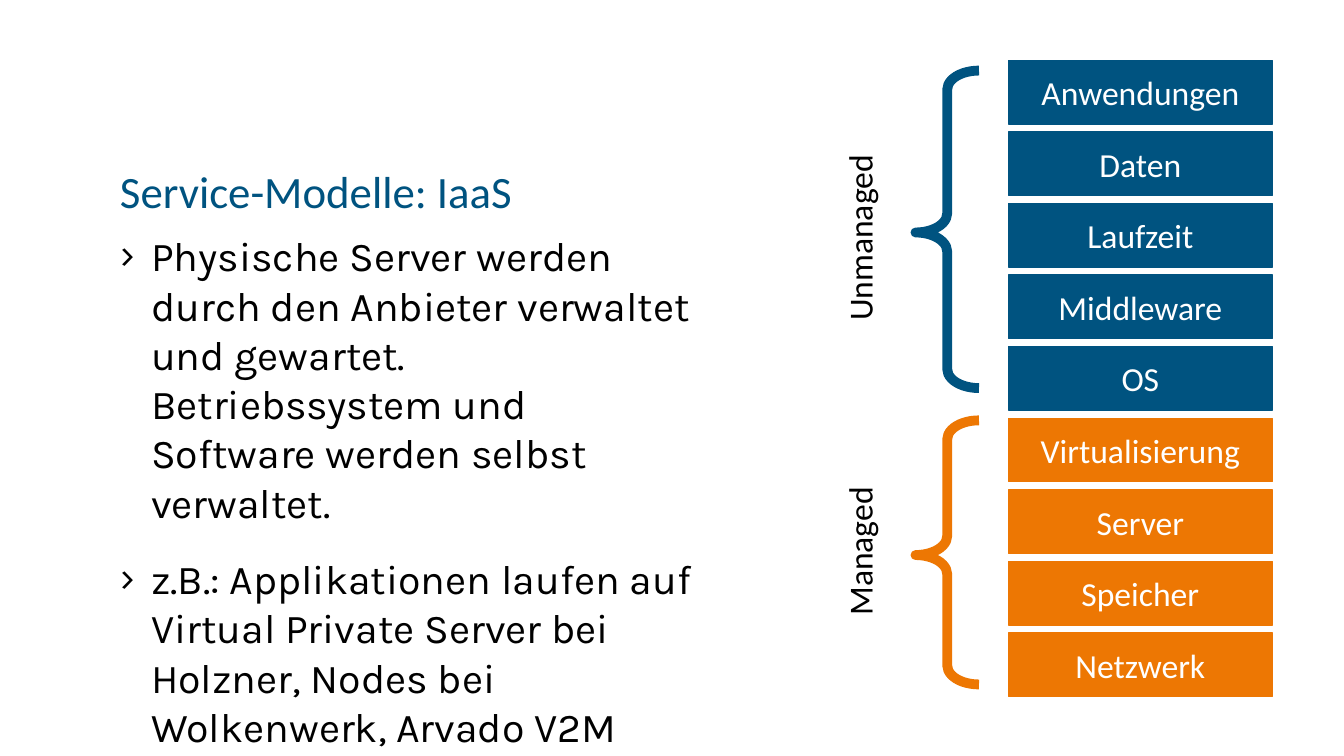
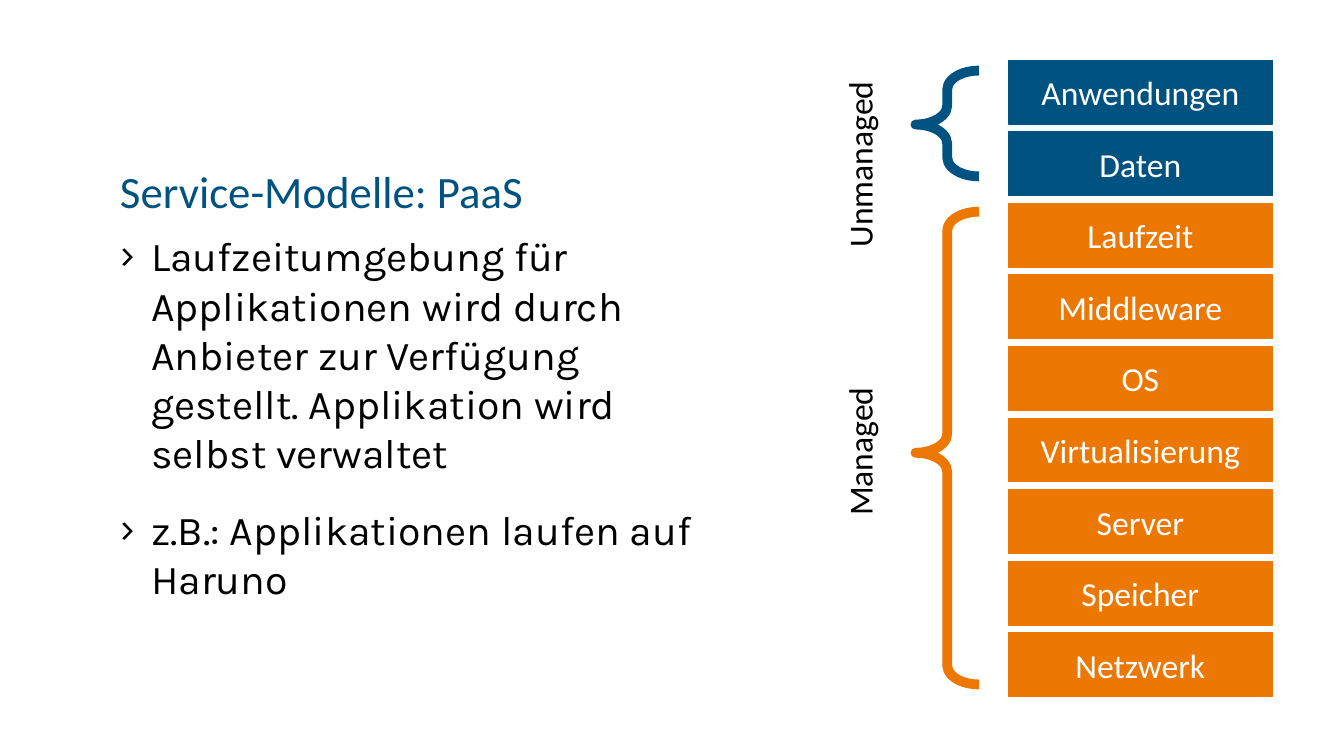
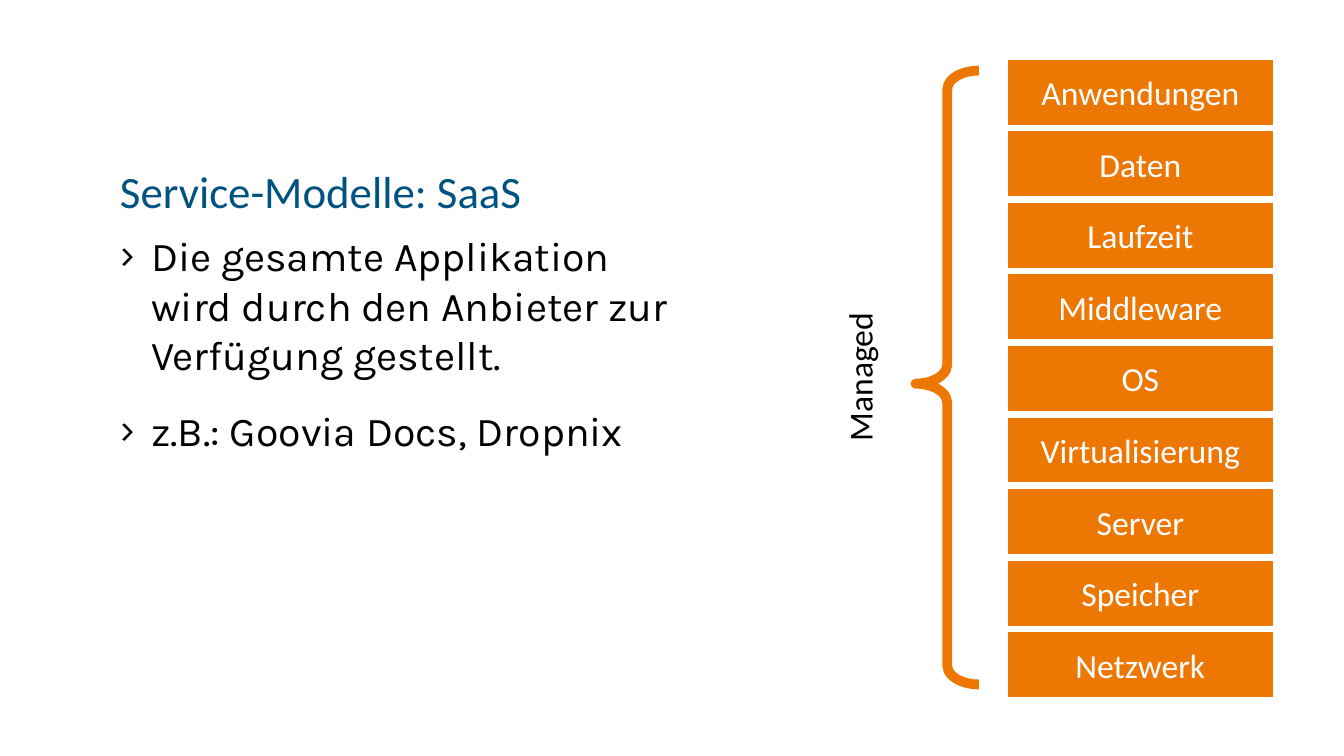
from dataclasses import dataclass

from lxml import etree
from pptx import Presentation
from pptx.dml.color import RGBColor
from pptx.enum.shapes import MSO_SHAPE
from pptx.enum.text import MSO_ANCHOR, PP_ALIGN
from pptx.oxml.ns import qn
from pptx.util import Inches, Pt

RECT, BRACE = MSO_SHAPE.RECTANGLE, MSO_SHAPE.LEFT_BRACE
TOP, MIDDLE = MSO_ANCHOR.TOP, MSO_ANCHOR.MIDDLE
LEFT, CENTER = PP_ALIGN.LEFT, PP_ALIGN.CENTER


@dataclass(frozen=True)
class Theme:
    blue: RGBColor = RGBColor.from_string("005380")
    orange: RGBColor = RGBColor.from_string("ED7703")
    black: RGBColor = RGBColor.from_string("000000")
    white: RGBColor = RGBColor.from_string("FFFFFF")
    heading_font: str = "Calibri"
    body_font: str = "Karla"
    title_size: float = 32
    body_size: float = 29.3
    label_size: float = 24
    space_before: float = 19.5
    box_line: float = 1
    brace_line: float = 7


@dataclass(frozen=True)
class Box:
    x: float
    y: float
    w: float
    h: float

    def emu(self):
        return [Inches(v) for v in (self.x, self.y, self.w, self.h)]


@dataclass(frozen=True)
class Group:
    """One responsibility: its brace and label, measured from the stack's top."""
    name: str
    color: RGBColor
    rows: int
    brace_top: float
    brace_height: float
    label_middle: float


THEME = Theme()
SLIDE_W, SLIDE_H = 13.33, 7.5
TITLE_BOX = Box(1.08, 1.58, 11.88, 0.6)
BODY_BOX = Box(1.08, 2.24, 5.93, 4.84)
STACK_BOX = Box(8.25, 0.6, 4.37, 6.31)
ROW_PITCH, ROW_H = 0.71, 0.63
LAYER_X, LAYER_W = 1.75, 2.62
BRACE_X, BRACE_W = 0.83, 0.63
LABEL_MIDDLE_X, LABEL_W, LABEL_H = 0.27, 3.22, 0.54
BRACE_ADJUSTMENTS = (0.3, 0.51)
TEXT_INSETS, LABEL_INSETS = (0.11, 0.05), (0.13, 0.07)

LAYERS = ("Anwendungen", "Daten", "Laufzeit", "Middleware", "OS",
          "Virtualisierung", "Server", "Speicher", "Netzwerk")


def unmanaged(*measures):
    return Group("Unmanaged", THEME.blue, *measures)


def managed(*measures):
    return Group("Managed", THEME.orange, *measures)


MODELS = (
    ("Service-Modelle: IaaS",
     ("Physische Server werden durch den Anbieter verwaltet und gewartet. "
      "Betriebssystem und Software werden selbst verwaltet.",
      "z.B.: Applikationen laufen auf Virtual Private Server bei Holzner, "
      "Nodes bei Wolkenwerk, Arvado V2M"),
     (unmanaged(5, 0.1, 3.15, 1.76), managed(4, 3.57, 2.62, 4.87))),
    ("Service-Modelle: PaaS",
     ("Laufzeitumgebung für Applikationen wird durch Anbieter zur Verfügung "
      "gestellt. Applikation wird selbst verwaltet",
      "z.B.: Applikationen laufen auf Haruno"),
     (unmanaged(2, 0.1, 1.05, 1.03), managed(7, 1.5, 4.69, 3.88))),
    ("Service-Modelle: SaaS",
     ("Die gesamte Applikation wird durch den Anbieter zur Verfügung gestellt.",
      "z.B.: Goovia Docs, Dropnix"),
     (managed(9, 0.1, 6.09, 3.14),)),
)


def set_frame(sp, insets, anchor):
    tf = sp.text_frame
    tf.word_wrap = True
    tf.vertical_anchor = anchor
    tf.margin_left = tf.margin_right = Inches(insets[0])
    tf.margin_top = tf.margin_bottom = Inches(insets[1])
    return tf


def add_run(p, text, font, size, color, align=LEFT):
    p.alignment = align
    r = p.add_run()
    r.text = text
    r.font.name = font
    r.font.size = Pt(size)
    r.font.color.rgb = color


def add_bullet(p):
    p_pr = p._p.get_or_add_pPr()
    p_pr.set("marL", str(Inches(0.31)))
    p_pr.set("indent", str(Inches(-0.3)))
    color = etree.SubElement(p_pr, qn("a:buClr"))
    etree.SubElement(color, qn("a:srgbClr"), val=str(THEME.black))
    etree.SubElement(p_pr, qn("a:buFont"), typeface=THEME.body_font)
    etree.SubElement(p_pr, qn("a:buChar"), char="›")


def add_title(slide, box, text):
    tf = set_frame(slide.shapes.add_textbox(*box.emu()), TEXT_INSETS, TOP)
    add_run(tf.paragraphs[0], text, THEME.heading_font, THEME.title_size, THEME.blue)


def add_body(slide, box, points):
    tf = set_frame(slide.shapes.add_textbox(*box.emu()), TEXT_INSETS, TOP)
    for i, text in enumerate(points):
        p = tf.add_paragraph() if i else tf.paragraphs[0]
        p.space_before = Pt(THEME.space_before)
        add_bullet(p)
        add_run(p, text, THEME.body_font, THEME.body_size, THEME.black)


def add_outlined(slide, kind, box, color, width):
    sp = slide.shapes.add_shape(kind, *box.emu())
    sp.shadow.inherit = False
    sp.line.color.rgb = color
    sp.line.width = Pt(width)
    return sp


def add_layer(slide, box, text, color):
    sp = add_outlined(slide, RECT, box, color, THEME.box_line)
    sp.fill.solid()
    sp.fill.fore_color.rgb = color
    tf = set_frame(sp, LABEL_INSETS, MIDDLE)
    add_run(tf.paragraphs[0], text, THEME.heading_font, THEME.label_size,
            THEME.white, CENTER)


def add_brace(slide, box, color):
    sp = add_outlined(slide, BRACE, box, color, THEME.brace_line)
    sp.fill.background()
    for i, value in enumerate(BRACE_ADJUSTMENTS):
        sp.adjustments[i] = value


def add_group_label(slide, middle_x, middle_y, text):
    box = Box(middle_x - LABEL_W / 2, middle_y - LABEL_H / 2, LABEL_W, LABEL_H)
    sp = slide.shapes.add_textbox(*box.emu())
    sp.rotation = 270
    tf = set_frame(sp, LABEL_INSETS, TOP)
    add_run(tf.paragraphs[0], text, THEME.heading_font, THEME.label_size,
            THEME.black, CENTER)


def add_stack(slide, box, groups):
    """Layers coloured by responsibility, with a brace and label per group."""
    colors = [group.color for group in groups for _ in range(group.rows)]
    for row, (name, color) in enumerate(zip(LAYERS, colors)):
        layer = Box(box.x + LAYER_X, box.y + row * ROW_PITCH, LAYER_W, ROW_H)
        add_layer(slide, layer, name, color)
    for group in groups:
        brace = Box(box.x + BRACE_X, box.y + group.brace_top,
                    BRACE_W, group.brace_height)
        add_brace(slide, brace, group.color)
        add_group_label(slide, box.x + LABEL_MIDDLE_X,
                        box.y + group.label_middle, group.name)


def add_model_slide(prs, title, points, groups):
    slide = prs.slides.add_slide(prs.slide_layouts[6])
    add_title(slide, TITLE_BOX, title)
    add_body(slide, BODY_BOX, points)
    add_stack(slide, STACK_BOX, groups)


def main():
    prs = Presentation()
    prs.slide_width, prs.slide_height = Inches(SLIDE_W), Inches(SLIDE_H)
    for model in MODELS:
        add_model_slide(prs, *model)
    prs.save("out.pptx")


if __name__ == "__main__":
    main()
